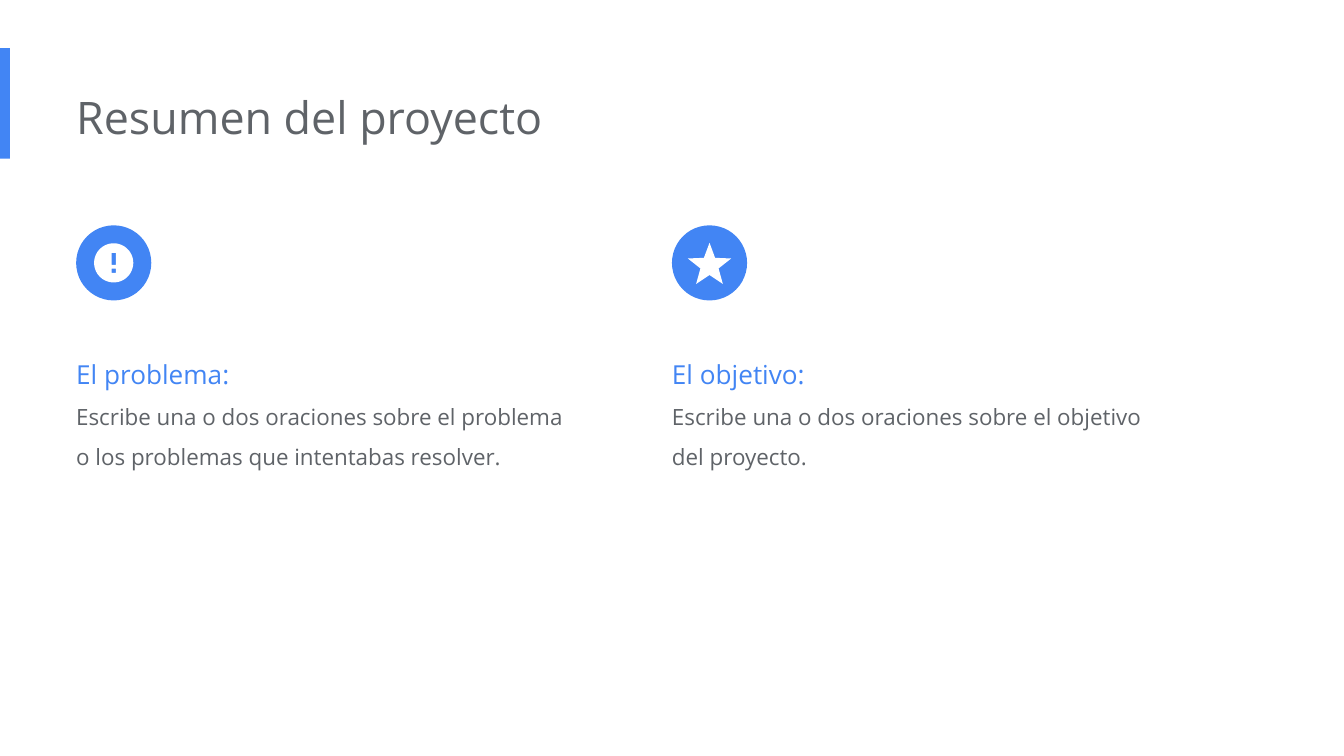
from dataclasses import dataclass
from math import cos, pi, sin

from pptx import Presentation
from pptx.dml.color import RGBColor
from pptx.enum.shapes import MSO_SHAPE
from pptx.enum.text import MSO_AUTO_SIZE
from pptx.util import Cm, Pt

RECTANGLE = MSO_SHAPE.RECTANGLE
OVAL = MSO_SHAPE.OVAL
GROW_TO_TEXT = MSO_AUTO_SIZE.SHAPE_TO_FIT_TEXT

FONT = "Open Sans"
BLUE, GREY, WHITE = "4285F4", "5F6368", "FFFFFF"

BADGE_TOP, BADGE_SIZE = 4.26, 1.42
TEXT_TOP, TEXT_WIDTH, TEXT_HEIGHT = 6.22, 9.58, 2.69
LEFT_COLUMN, RIGHT_COLUMN = 1.44, 12.7

Point = tuple[float, float]
Outline = list[Point]


@dataclass
class Line:
    text: str
    size: int
    color: str
    spacing: float = 1.0


@dataclass
class Column:
    left: float
    heading: str
    body: str
    icon: list[Outline]


def rgb(color: str) -> RGBColor:
    return RGBColor.from_string(color)


def paint(shape, color: str) -> None:
    shape.shadow.inherit = False
    shape.fill.solid()
    shape.fill.fore_color.rgb = rgb(color)
    shape.line.fill.background()


def add_solid(page, kind, left: float, top: float, width: float, height: float) -> None:
    shape = page.shapes.add_shape(kind, Cm(left), Cm(top), Cm(width), Cm(height))
    paint(shape, BLUE)


def add_text(page, left: float, top: float, width: float, height: float,
             lines: list[Line]) -> None:
    box = page.shapes.add_textbox(Cm(left), Cm(top), Cm(width), Cm(height))
    frame = box.text_frame
    frame.word_wrap = True
    frame.auto_size = GROW_TO_TEXT
    frame.margin_left = 0
    frame.margin_top = frame.margin_right = frame.margin_bottom = Cm(0.25)
    for index, line in enumerate(lines):
        para = frame.add_paragraph() if index else frame.paragraphs[0]
        para.line_spacing = line.spacing
        span = para.add_run()
        span.text = line.text
        span.font.name = FONT
        span.font.size = Pt(line.size)
        span.font.color.rgb = rgb(line.color)


def ring(count: int, radii: list[float], center_y: float = 0) -> Outline:
    """Points clockwise from the top, taking the radii in turn."""
    outline = []
    for index in range(count):
        angle = 2 * pi * index / count
        radius = radii[index % len(radii)]
        outline.append((radius * sin(angle), center_y - radius * cos(angle)))
    return outline


def slot(half_width: float, top: float, bottom: float) -> Outline:
    """Rectangle running anticlockwise, so that it cuts a hole."""
    return [(half_width, top), (-half_width, top),
            (-half_width, bottom), (half_width, bottom)]


def add_icon(page, center_x: float, center_y: float, outlines: list[Outline]) -> None:
    paths = [[(Cm(center_x + x), Cm(center_y + y)) for x, y in outline]
             for outline in outlines]
    builder = page.shapes.build_freeform(*paths[0][0])
    builder.add_line_segments(paths[0][1:], close=True)
    for path in paths[1:]:
        builder.move_to(*path[0])
        builder.add_line_segments(path[1:], close=True)
    paint(builder.convert_to_shape(), WHITE)


def add_column(page, column: Column) -> None:
    add_solid(page, OVAL, column.left, BADGE_TOP, BADGE_SIZE, BADGE_SIZE)
    add_icon(page, column.left + BADGE_SIZE / 2, BADGE_TOP + BADGE_SIZE / 2, column.icon)
    add_text(page, column.left, TEXT_TOP, TEXT_WIDTH, TEXT_HEIGHT, [
        Line(column.heading, 14, BLUE, 1.5),
        Line(column.body, 12, GREY, 1.5),
    ])


def main() -> None:
    deck = Presentation()
    deck.slide_width, deck.slide_height = Cm(25.4), Cm(14.29)
    page = deck.slides.add_slide(deck.slide_layouts[6])

    exclamation = [ring(72, [0.37]), slot(0.04, -0.19, 0.04), slot(0.04, 0.11, 0.19)]
    star = [ring(10, [0.43, 0.18], center_y=0.05)]
    columns = [
        Column(LEFT_COLUMN, "El problema:",
               "Escribe una o dos oraciones sobre el problema "
               "o los problemas que intentabas resolver.", exclamation),
        Column(RIGHT_COLUMN, "El objetivo:",
               "Escribe una o dos oraciones sobre el objetivo del proyecto.", star),
    ]

    add_solid(page, RECTANGLE, 0, 0.91, 0.19, 2.09)
    add_text(page, LEFT_COLUMN, 1.45, 17.1, 1.55,
             [Line("Resumen del proyecto", 24, GREY)])
    for column in columns:
        add_column(page, column)
    deck.save("out.pptx")


if __name__ == "__main__":
    main()
